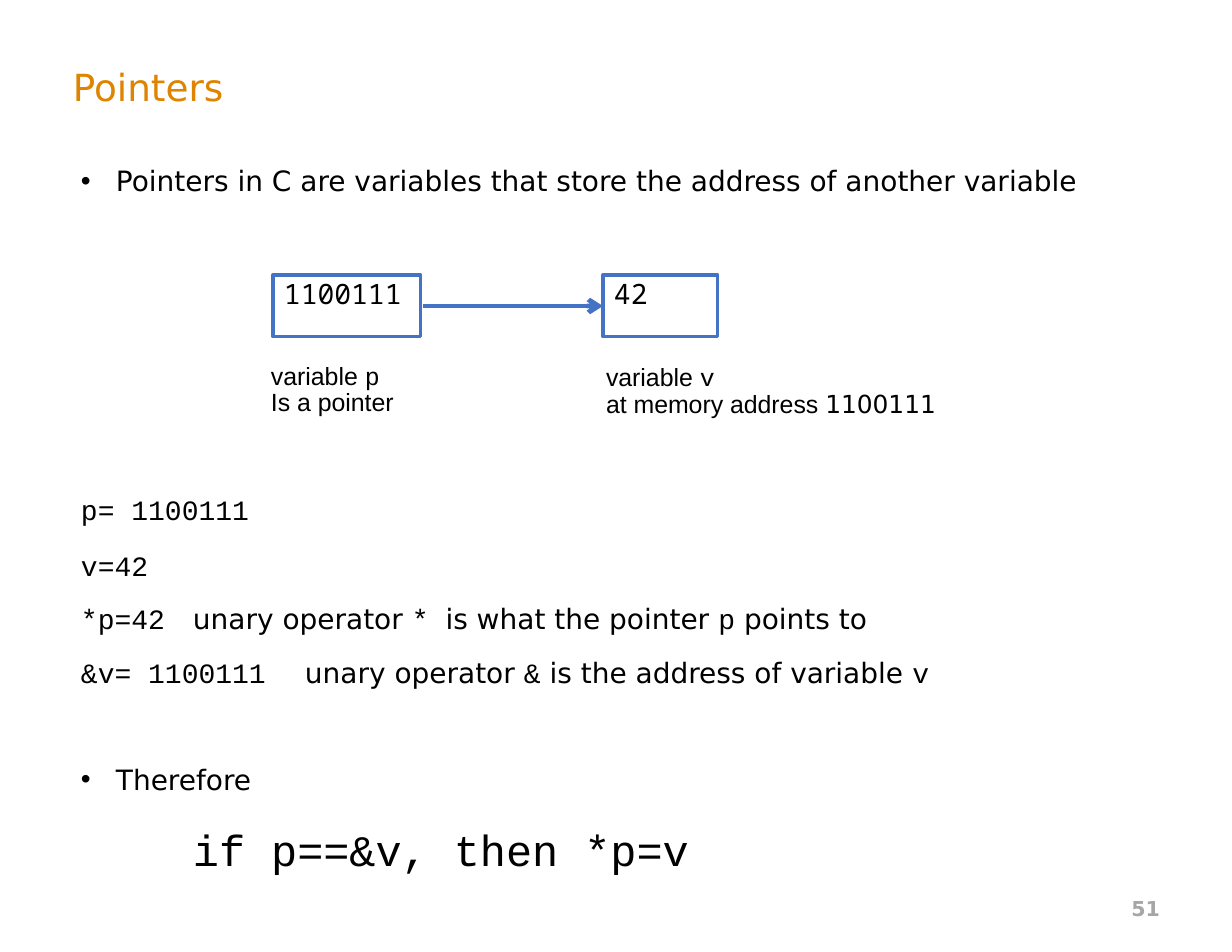
import pptx
import pptx.dml.color
import pptx.enum.shapes
import pptx.enum.text
import pptx.oxml.ns
import pptx.util
from lxml import etree

PX = 914400 // 112
SANS, CODE, MONO, PLAIN = "DejaVu Sans", "Courier New", "Noto Sans Mono", "Arial"
BLACK, ORANGE, BLUE, GREY, WHITE = "000000", "DE8400", "4472C4", "A6A6A6", "FFFFFF"
ALIGN = pptx.enum.text.PP_ALIGN
ANCHOR = pptx.enum.text.MSO_ANCHOR


def px(length):
    return pptx.util.Emu(length * PX)


def color(hex_text):
    return pptx.dml.color.RGBColor.from_string(hex_text)


def add_element(parent, tag, **attributes):
    element = etree.SubElement(parent, pptx.oxml.ns.qn(tag))
    for name, value in attributes.items():
        element.set(name, str(value))
    return element


def add_para(frame, spans, *, size=18, fill=BLACK, bold=False, align=ALIGN.LEFT,
             before=0, spacing=None, indent=0, hanging=0, bullet=None, tab=None):
    """Write (text, font) spans as the next paragraph of a frame."""
    first = frame.paragraphs[0]
    para = frame.add_paragraph() if first.runs else first
    properties = para._p.get_or_add_pPr()
    properties.set("marL", str(px(indent)))
    properties.set("indent", str(-px(hanging)))
    if bullet:
        add_element(properties, "a:buFont", typeface=PLAIN)
        add_element(properties, "a:buChar", char=bullet)
    else:
        add_element(properties, "a:buNone")
    if tab:
        tabs = add_element(properties, "a:tabLst")
        add_element(tabs, "a:tab", pos=px(tab), algn="l")
    para.alignment = align
    para.space_before = pptx.util.Pt(before)
    if spacing:
        para.line_spacing = spacing
    for text, font in spans:
        span = para.add_run()
        span.text = text
        span.font.name = font
        span.font.size = pptx.util.Pt(size)
        span.font.bold = bold
        span.font.color.rgb = color(fill)


def add_box(page, left, top, width, height, anchor=ANCHOR.TOP, wrap=True):
    box = page.shapes.add_textbox(px(left), px(top), px(width), px(height))
    box.text_frame.word_wrap = wrap
    box.text_frame.vertical_anchor = anchor
    return box.text_frame


def add_title(page, left, top, width, height):
    frame = add_box(page, left, top, width, height, ANCHOR.MIDDLE)
    add_para(frame, [("Pointers", SANS)], size=24, fill=ORANGE)


def add_body(page, left, top, width, height):
    frame = add_box(page, left, top, width, height)
    bulleted = {"indent": 43, "hanging": 35, "bullet": "•"}
    code = {"indent": 8, "tab": 224}

    add_para(frame, [("Pointers in C are variables that store the address of another variable",
                      SANS)], **bulleted)

    # Code lines, below the space left for the diagram
    add_para(frame, [("p= 1100111", CODE)], before=190, **code)
    add_para(frame, [("v=42", CODE)], before=14, **code)
    add_para(frame, [("*p=42\t", CODE), ("unary operator ", SANS), ("* ", CODE),
                     ("is what the pointer ", SANS), ("p", CODE), (" points to", SANS)],
             before=13, **code)
    add_para(frame, [("&v= 1100111\t", CODE), ("unary operator ", SANS), ("&", CODE),
                     (" is the address of variable ", SANS), ("v", CODE)],
             before=13, **code)

    # Conclusion
    add_para(frame, [("Therefore", SANS)], before=47, **bulleted)
    add_para(frame, [("if p==&v, then *p=v", CODE)], size=28, before=17, indent=120)


def add_cell(page, left, top, width, height, value):
    cell = page.shapes.add_shape(pptx.enum.shapes.MSO_SHAPE.RECTANGLE,
                                 px(left), px(top), px(width), px(height))
    cell.shadow.inherit = False
    cell.fill.solid()
    cell.fill.fore_color.rgb = color(WHITE)
    cell.line.color.rgb = color(BLUE)
    cell.line.width = pptx.util.Pt(2)
    cell.text_frame.vertical_anchor = ANCHOR.TOP
    add_para(cell.text_frame, [(value, MONO)], spacing=0.9)


def add_caption(page, left, top, width, height, lines):
    frame = add_box(page, left, top, width, height, wrap=False)
    for spans in lines:
        add_para(frame, spans, size=16, spacing=0.9)


def add_arrow(page, start, end, y):
    arrow = page.shapes.add_connector(pptx.enum.shapes.MSO_CONNECTOR.STRAIGHT,
                                      px(start), px(y), px(end), px(y))
    arrow.line.color.rgb = color(BLUE)
    arrow.line.width = pptx.util.Pt(3)
    add_element(arrow.line._get_or_add_ln(), "a:tailEnd", type="arrow")
    add_element(arrow._element.spPr, "a:effectLst")


def add_diagram(page, left, top):
    """Pointer cell on the left, the variable it points to on the right."""
    target = left + 330
    add_cell(page, target, top, 115, 62, "42")
    add_cell(page, left, top, 148, 62, "1100111")
    add_arrow(page, left + 150, target, top + 31)
    add_caption(page, left - 13, top + 83, 147, 93,
                [[("variable ", PLAIN), ("p", CODE)], [("Is a pointer", PLAIN)]])
    add_caption(page, target - 8, top + 85, 356, 66,
                [[("variable ", PLAIN), ("v", CODE)],
                 [("at memory address ", PLAIN), ("1100111", SANS)]])


def add_page_number(page, left, top, width, height):
    frame = add_box(page, left, top, width, height, ANCHOR.MIDDLE)
    add_para(frame, [("51", SANS)], size=13.2, fill=GREY, bold=True, align=ALIGN.RIGHT)


def main():
    deck = pptx.Presentation()
    deck.slide_width, deck.slide_height = px(1232), px(952)
    page = deck.slides.add_slide(deck.slide_layouts[6])
    add_title(page, 62, 38, 1109, 97)
    add_body(page, 62, 158, 1109, 692)
    add_page_number(page, 883, 883, 288, 50)
    add_diagram(page, 273, 275)
    deck.save("out.pptx")


if __name__ == "__main__":
    main()
